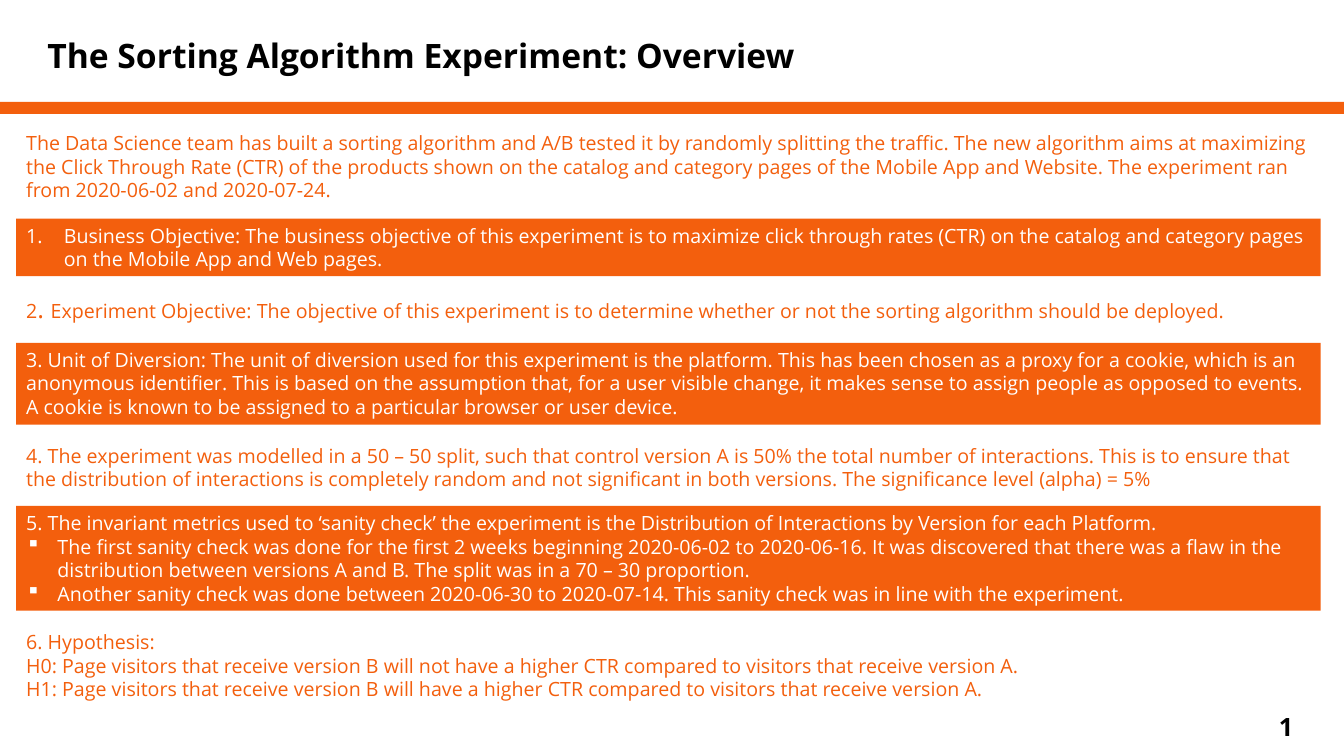
from pptx import Presentation
from pptx.dml.color import RGBColor
from pptx.enum import shapes, text
from pptx.oxml.ns import qn
from pptx.util import Cm, Pt
from lxml import etree

ORANGE = RGBColor(0xF3, 0x5F, 0x0D)
WHITE = RGBColor(0xFF, 0xFF, 0xFF)
BLACK = RGBColor(0, 0, 0)
FONT = "Open Sans"

TITLE = "The Sorting Algorithm Experiment: Overview"
PAGE_NUMBER = "1"
NUMBERED, SQUARE = "numbered", "square"
INDENTS = {NUMBERED: Cm(0.95), SQUARE: Cm(0.79)}

# Sections: top and height in cm, filled or not, paragraphs as (list style, text)
SECTIONS = [
    (3.18, 2.06, False, [
        (None, "The Data Science team has built a sorting algorithm and A/B tested it by randomly "
         "splitting the traffic. The new algorithm aims at maximizing the Click Through Rate (CTR) "
         "of the products shown on the catalog and category pages of the Mobile App and Website. "
         "The experiment ran from 2020-06-02 and 2020-07-24.")]),
    (5.51, 1.45, True, [
        (NUMBERED, "Business Objective: The business objective of this experiment is to maximize "
         "click through rates (CTR) on the catalog and category pages on the Mobile App and Web "
         "pages.")]),
    (7.26, 1.02, False, [
        (None, "2. Experiment Objective: The objective of this experiment is to determine whether "
         "or not the sorting algorithm should be deployed.")]),
    (8.64, 2.06, True, [
        (None, "3. Unit of Diversion: The unit of diversion used for this experiment is the "
         "platform. This has been chosen as a proxy for a cookie, which is an anonymous "
         "identifier. This is based on the assumption that, for a user visible change, it makes "
         "sense to assign people as opposed to events. A cookie is known to be assigned to a "
         "particular browser or user device.")]),
    (11.05, 1.45, False, [
        (None, "4. The experiment was modelled in a 50 – 50 split, such that control version A is "
         "50% the total number of interactions. This is to ensure that the distribution of "
         "interactions is completely random and not significant in both versions. The "
         "significance level (alpha) = 5%")]),
    (12.75, 2.64, True, [
        (None, "5. The invariant metrics used to ‘sanity check’ the experiment is the "
         "Distribution of Interactions by Version for each Platform."),
        (SQUARE, "The first sanity check was done for the first 2 weeks beginning 2020-06-02 to "
         "2020-06-16. It was discovered that there was a flaw in the distribution between "
         "versions A and B. The split was in a 70 – 30 proportion."),
        (SQUARE, "Another sanity check was done between 2020-06-30 to 2020-07-14. This sanity "
         "check was in line with the experiment.")]),
    (15.75, 2.06, False, [
        (None, "6. Hypothesis:"),
        (None, "H0: Page visitors that receive version B will not have a higher CTR compared to "
         "visitors that receive version A."),
        (None, "H1: Page visitors that receive version B will have a higher CTR compared to "
         "visitors that receive version A.")]),
]
LARGE_SEPARATOR = "2. "  # its full stop and space are set larger
SECTION_LEFT, SECTION_WIDTH = Cm(0.41), Cm(32.87)


def add_rectangle(slide, left, top, width, height):
    shape = slide.shapes.add_shape(shapes.MSO_SHAPE.RECTANGLE, left, top, width, height)
    shape.shadow.inherit = False
    shape.fill.solid()
    shape.fill.fore_color.rgb = ORANGE
    shape.line.fill.background()
    return shape


def format_frame(shape):
    frame = shape.text_frame
    frame.word_wrap = True
    frame.auto_size = text.MSO_AUTO_SIZE.SHAPE_TO_FIT_TEXT
    frame.vertical_anchor = text.MSO_ANCHOR.TOP
    return frame


def format_paragraph(paragraph, size, color, bold=False):
    paragraph.alignment = text.PP_ALIGN.LEFT
    font = paragraph.font
    font.name, font.size, font.bold = FONT, Pt(size), bold
    font.color.rgb = color


def add_bullet(paragraph, style):
    properties = paragraph._p.get_or_add_pPr()
    properties.set("marL", str(INDENTS[style]))
    properties.set("indent", str(-INDENTS[style]))
    if style == NUMBERED:
        bullet = etree.Element(qn("a:buAutoNum"), type="arabicPeriod")
    else:
        bullet = etree.Element(qn("a:buChar"), char="▪")
    properties.insert_element_before(bullet, "a:tabLst", "a:defRPr", "a:extLst")


def add_section(slide, top, height, filled, paragraphs):
    box = (SECTION_LEFT, Cm(top), SECTION_WIDTH, Cm(height))
    shape = add_rectangle(slide, *box) if filled else slide.shapes.add_textbox(*box)
    frame = format_frame(shape)
    for index, (style, wording) in enumerate(paragraphs):
        paragraph = frame.add_paragraph() if index else frame.paragraphs[0]
        format_paragraph(paragraph, 14, WHITE if filled else ORANGE)
        if wording.startswith(LARGE_SEPARATOR):
            paragraph.add_run().text = LARGE_SEPARATOR[0]
            separator = paragraph.add_run()
            separator.text = LARGE_SEPARATOR[1:]
            separator.font.size = Pt(18)
            wording = wording[len(LARGE_SEPARATOR):]
        paragraph.add_run().text = wording
        if style:
            add_bullet(paragraph, style)


def main():
    presentation = Presentation()
    presentation.slide_width, presentation.slide_height = Cm(33.87), Cm(19.05)
    slide = presentation.slides.add_slide(presentation.slide_layouts[5])

    # Title and the rule below it
    title = slide.shapes.title
    title.left, title.top, title.width, title.height = Cm(0.94), Cm(0.74), Cm(22.05), Cm(1.27)
    frame = format_frame(title)
    frame.text = TITLE
    format_paragraph(frame.paragraphs[0], 24, BLACK, bold=True)
    add_rectangle(slide, 0, Cm(2.57), presentation.slide_width, Cm(0.3))

    # Overview sections
    for section in SECTIONS:
        add_section(slide, *section)

    # Page number
    number = slide.shapes.add_textbox(Cm(31.98), Cm(17.81), Cm(1.3), Cm(1.04))
    frame = format_frame(number)
    frame.text = PAGE_NUMBER
    format_paragraph(frame.paragraphs[0], 18, BLACK, bold=True)

    presentation.save("out.pptx")


if __name__ == "__main__":
    main()
